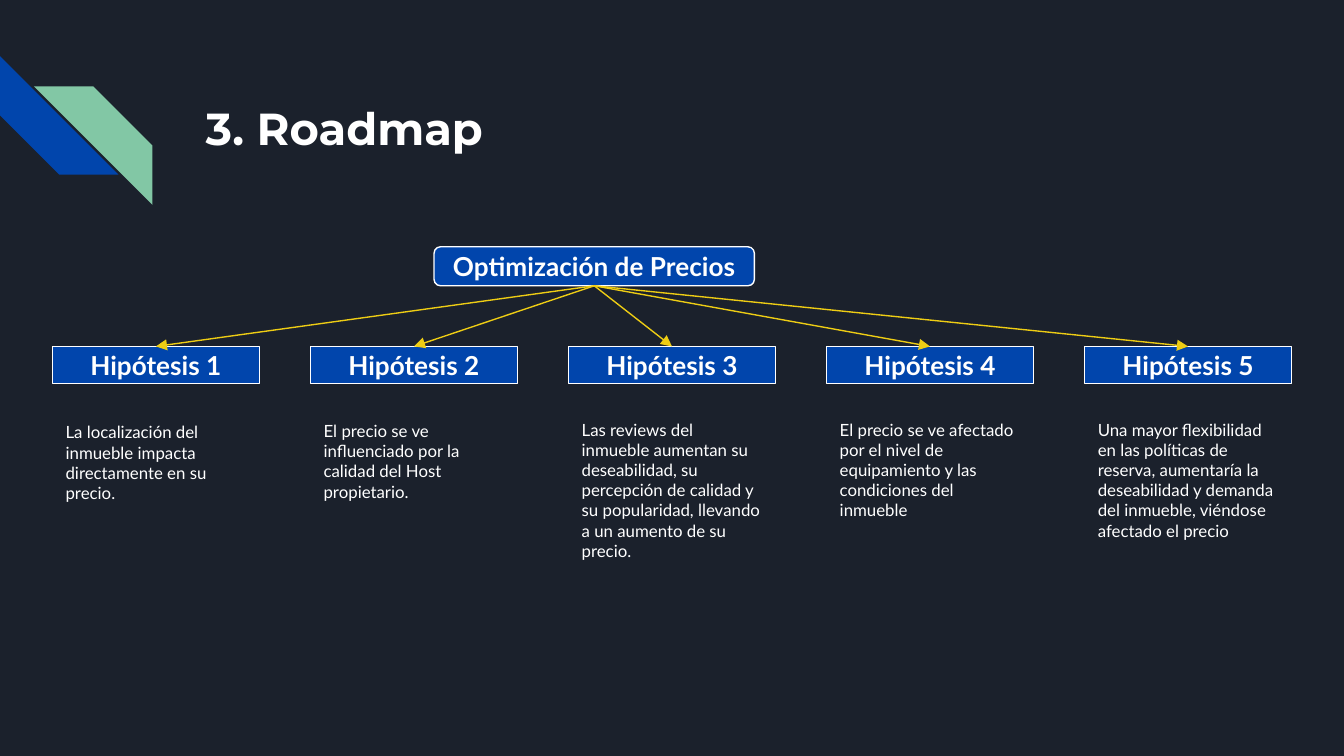
from pptx import Presentation
from pptx import util as u
from pptx.dml import color
from pptx.enum import shapes, text
from pptx.oxml import ns
from lxml import etree

Pt = u.Pt
NAVY, BLUE, GREEN, WHITE, YELLOW = "1B212C", "0145AC", "82C7A5", "FFFFFF", "EECD14"

# Column grid and the text of each hypothesis, with the top of its box
COLUMN_LEFT, COLUMN_STEP, COLUMN_WIDTH = 28.08, 138.24, 110.88
HYPOTHESES = [
    (218.88, "La localización del inmueble impacta directamente en su precio."),
    (218.16, "El precio se ve influenciado por la calidad del Host propietario."),
    (217.44, "Las reviews del inmueble aumentan su deseabilidad, su percepción de "
             "calidad y su popularidad, llevando a un aumento de su precio."),
    (217.44, "El precio se ve afectado por el nivel de equipamiento y las "
             "condiciones del inmueble"),
    (217.44, "Una mayor flexibilidad en las políticas de reserva, aumentaría la "
             "deseabilidad y demanda del inmueble, viéndose afectado el precio"),
]


def paint(target, value):
    """Give a fill a solid colour."""
    target.solid()
    target.fore_color.rgb = color.RGBColor.from_string(value)


def write(shape, words, size, font="Lato", bold=False,
          align=text.PP_ALIGN.LEFT, anchor=text.MSO_ANCHOR.TOP):
    frame = shape.text_frame
    frame.word_wrap = True
    frame.auto_size = text.MSO_AUTO_SIZE.NONE
    frame.vertical_anchor = anchor
    frame.margin_left = frame.margin_right = Pt(7.2)
    frame.margin_top = frame.margin_bottom = Pt(7.2)
    para = frame.paragraphs[0]
    para.text = words
    para.alignment = align
    para.font.name, para.font.size, para.font.bold = font, Pt(size), bold
    paint(para.font.fill, WHITE)


def add_stripe(page, left, top, rotation, fill):
    stripe = page.shapes.add_shape(
        shapes.MSO_SHAPE.DIAGONAL_STRIPE, Pt(left), Pt(top), Pt(63.5), Pt(63.5))
    stripe.shadow.inherit = False
    stripe.rotation = rotation
    paint(stripe.fill, fill)
    stripe.line.fill.background()


def add_label(page, kind, words, left, top, width, height):
    box = page.shapes.add_shape(kind, Pt(left), Pt(top), Pt(width), Pt(height))
    box.shadow.inherit = False
    paint(box.fill, BLUE)
    paint(box.line.fill, WHITE)
    box.line.width = Pt(0.75)
    write(box, words, 14, bold=True, align=text.PP_ALIGN.CENTER,
          anchor=text.MSO_ANCHOR.MIDDLE)
    return box


def add_description(page, words, left, top):
    box = page.shapes.add_textbox(Pt(left), Pt(top), Pt(COLUMN_WIDTH), Pt(189.36))
    write(box, words, 9)


def add_arrow(page, source, target):
    """Join the bottom of one box to the top of another."""
    arrow = page.shapes.add_connector(shapes.MSO_CONNECTOR.STRAIGHT, 0, 0, 0, 0)
    arrow.begin_connect(source, 2)
    arrow.end_connect(target, 0)
    paint(arrow.line.fill, YELLOW)
    arrow.line.width = Pt(0.75)
    etree.SubElement(arrow.line._get_or_add_ln(), ns.qn("a:tailEnd"), type="triangle")
    etree.SubElement(arrow._element.spPr, ns.qn("a:effectLst"))


def main():
    deck = Presentation()
    deck.slide_width, deck.slide_height = Pt(720), Pt(405)
    page = deck.slides.add_slide(deck.slide_layouts[5])
    paint(page.background.fill, NAVY)

    # Corner decoration
    add_stripe(page, 0, 30, 270, BLUE)
    add_stripe(page, 18.2, 46.3, 90, GREEN)

    # Title
    title = page.shapes.title
    title.left, title.top, title.width, title.height = Pt(103), Pt(46.8), Pt(554.4), Pt(72)
    write(title, "3. Roadmap", 24, font="Montserrat", bold=True)

    # Goal and its hypotheses
    goal = add_label(page, shapes.MSO_SHAPE.ROUNDED_RECTANGLE,
                     "Optimización de Precios", 232.56, 132.2, 171.6, 20.9)
    for index, (top, words) in enumerate(HYPOTHESES):
        left = COLUMN_LEFT + index * COLUMN_STEP
        label = add_label(page, shapes.MSO_SHAPE.RECTANGLE, f"Hipótesis {index + 1}",
                          left, 185.6, COLUMN_WIDTH, 20)
        add_description(page, words, left, top)
        add_arrow(page, goal, label)

    deck.save("out.pptx")


if __name__ == "__main__":
    main()
